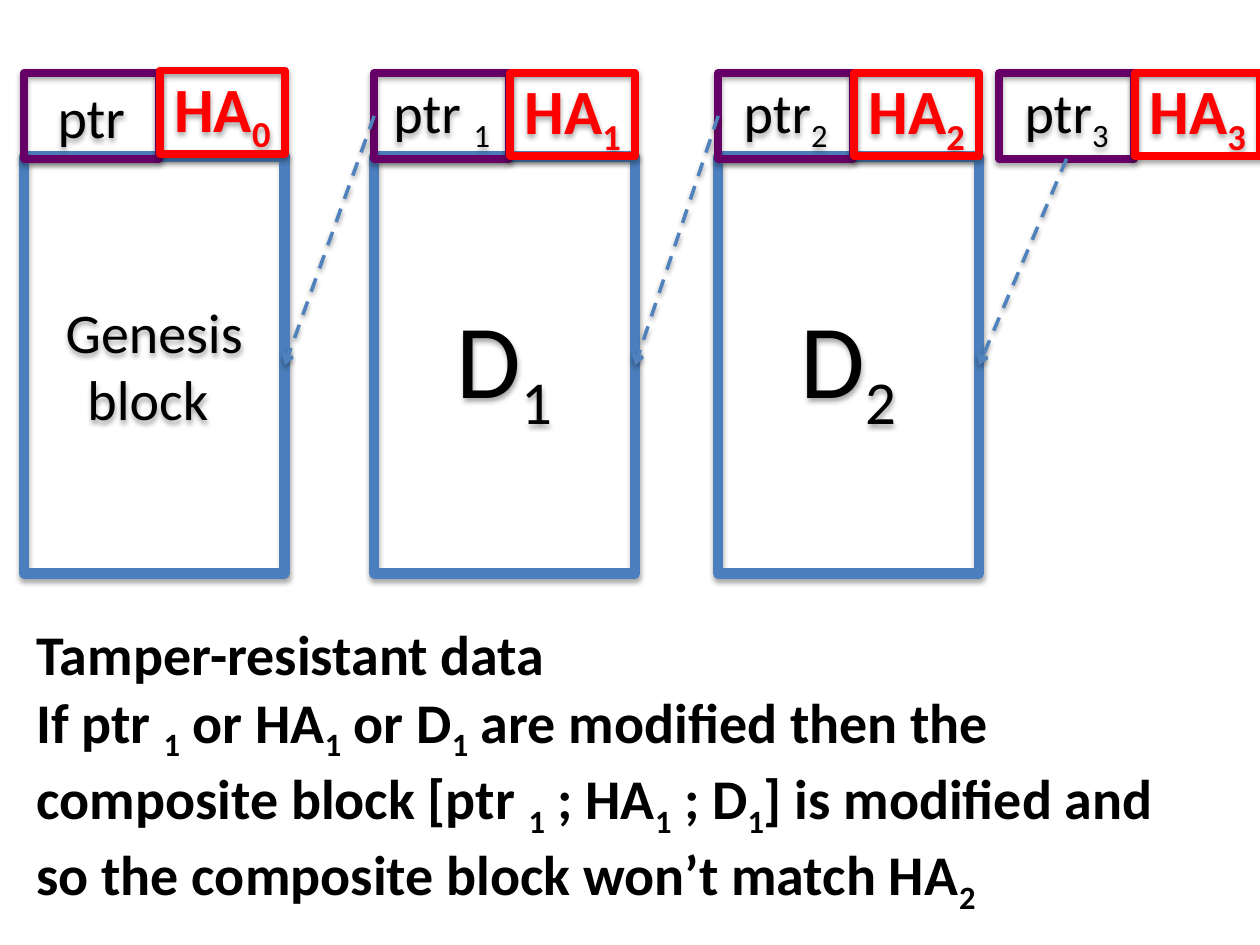
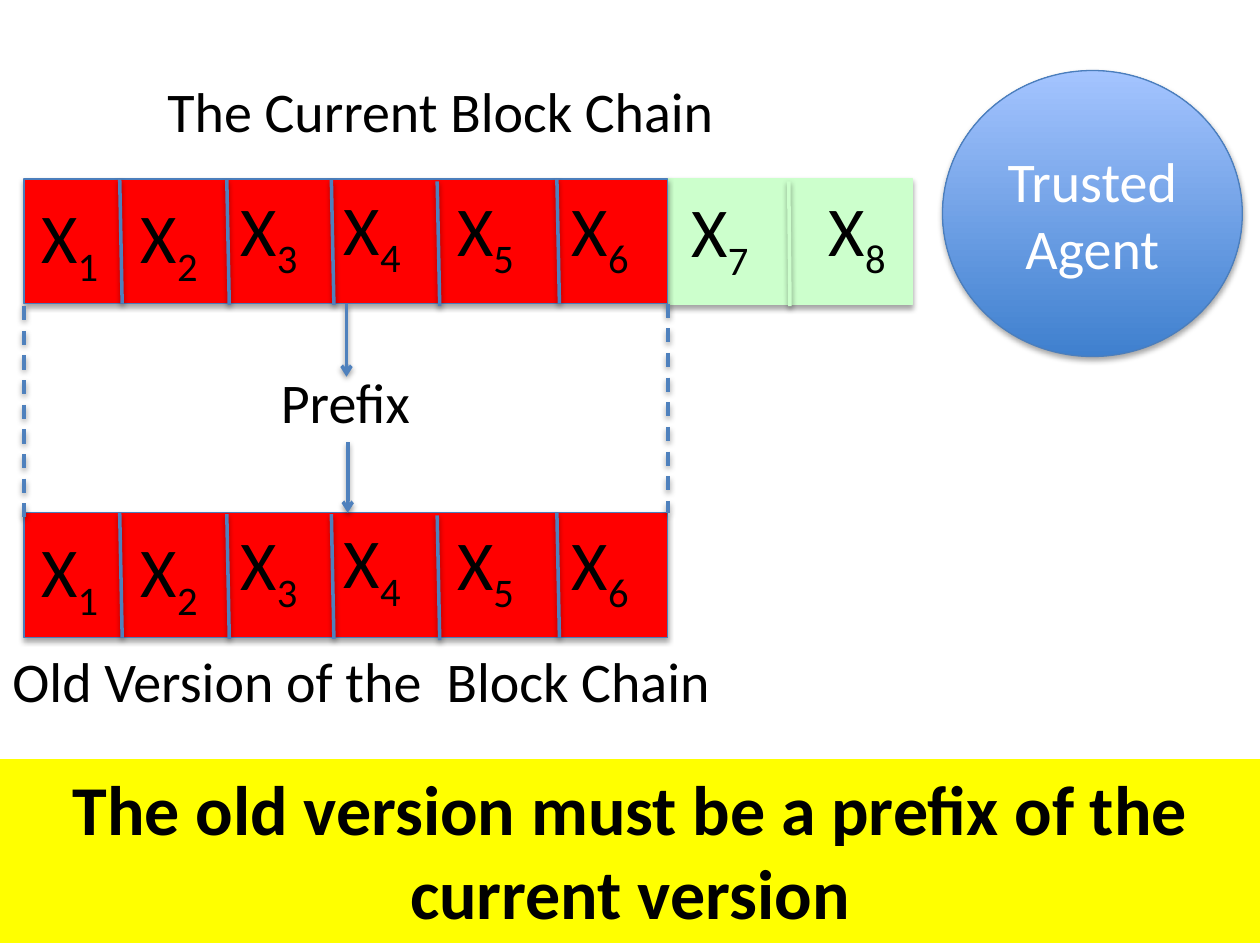
from dataclasses import dataclass

import lxml.etree
import pptx
import pptx.dml.color
import pptx.enum.dml
import pptx.enum.shapes
import pptx.enum.text
import pptx.oxml.ns
import pptx.util

Inches = pptx.util.Inches
Pt = pptx.util.Pt
Shape = pptx.enum.shapes.MSO_SHAPE
Align = pptx.enum.text.PP_ALIGN
Anchor = pptx.enum.text.MSO_ANCHOR
qn = pptx.oxml.ns.qn

FONT = "Calibri"
BLACK, WHITE, RED = "000000", "FFFFFF", "FF0000"
BORDER, LINK, PURPLE = "4B7EBC", "4F81BD", "660066"
GREEN, YELLOW = "CCFFCC", "FFFF00"
BLUE_GRADIENT = ("3F80CE", "A4C4FF")


@dataclass
class Frame:
    left: float
    top: float
    width: float
    height: float


@dataclass
class Block:
    left: float
    pointer: str
    digest: str
    data: str = ""
    data_size: int = 60
    digest_top: float = 0.58


@dataclass
class Cell:
    number: int
    left: float
    drop: float


BLOCKS = [
    Block(0.19, "ptr", "HA~0~", "Genesis block ", 32, 0.56),
    Block(2.97, "ptr ~1~", "HA~1~", "D~1~"),
    Block(5.70, "ptr~2~", "HA~2~", "D~2~"),
    Block(7.93, "ptr~3~", "HA~3~"),
]
CELLS = [Cell(1, 0.23, 0.07), Cell(2, 1.02, 0.07), Cell(3, 1.81, 0.01),
         Cell(4, 2.63, 0), Cell(5, 3.53, 0.01), Cell(6, 4.44, 0.01)]
NEW_CELLS = [Cell(8, 6.48, 0.01), Cell(7, 5.39, 0.02)]
DIVIDERS = [(0.95, 0), (1.80, 0.01), (2.63, 0.01), (3.47, 0.02), (4.42, 0)]

CHAIN_LEFT, CHAIN_RIGHT, CHAIN_HEIGHT = 0.19, 5.30, 0.99
CURRENT_TOP, OLD_TOP = 1.42, 4.07
BLOCK_WIDTH, POINTER_WIDTH = 2.07, 1.07


def colour(value: str) -> pptx.dml.color.RGBColor:
    return pptx.dml.color.RGBColor.from_string(value)


def set_effects(shape, distance: int = 0, opacity: int = 0) -> None:
    properties = shape._element.spPr
    for old in properties.findall(qn("a:effectLst")):
        properties.remove(old)
    effects = lxml.etree.SubElement(properties, qn("a:effectLst"))
    if opacity:
        shadow = lxml.etree.SubElement(
            effects, qn("a:outerShdw"), blurRad="40000", dist=str(distance),
            dir="5400000", rotWithShape="0")
        tint = lxml.etree.SubElement(shadow, qn("a:srgbClr"), val=BLACK)
        lxml.etree.SubElement(tint, qn("a:alpha"), val=str(opacity * 1000))


def write(box, text: str, *, size: float, ink: str = BLACK, bold: bool = False,
          align=Align.LEFT, anchor=Anchor.TOP, wrap: bool = True) -> None:
    frame = box.text_frame
    frame.word_wrap = wrap
    frame.vertical_anchor = anchor
    for index, line in enumerate(text.split("\n")):
        para = frame.paragraphs[0] if index == 0 else frame.add_paragraph()
        para.alignment = align
        for position, part in enumerate(line.split("~")):
            if not part:
                continue
            span = para.add_run()
            span.text = part
            span.font.name = FONT
            span.font.size = Pt(size)
            span.font.bold = bold
            span.font.color.rgb = colour(ink)
            if position % 2:
                span._r.get_or_add_rPr().set("baseline", "-25000")


def add_box(shapes, frame: Frame, *, kind=Shape.RECTANGLE, fill=None,
            line: str = BORDER, weight: float = 0.75, shadow: bool = True):
    box = shapes.add_shape(kind, Inches(frame.left), Inches(frame.top),
                           Inches(frame.width), Inches(frame.height))
    if fill is None:
        box.fill.background()
    elif isinstance(fill, tuple):
        box.fill.gradient()
        box.fill.gradient_angle = 90
        for stop, shade in zip(box.fill.gradient_stops, fill):
            stop.color.rgb = colour(shade)
    else:
        box.fill.solid()
        box.fill.fore_color.rgb = colour(fill)
    box.line.color.rgb = colour(line)
    box.line.width = Pt(weight)
    set_effects(box, 23000, 35 if shadow else 0)
    return box


def add_label(shapes, frame: Frame, text: str, *, size: float = 32,
              bold: bool = False, wrap: bool = False) -> None:
    box = shapes.add_textbox(Inches(frame.left), Inches(frame.top),
                             Inches(frame.width), Inches(frame.height))
    write(box, text, size=size, bold=bold, wrap=wrap)


def add_line(shapes, start: tuple[float, float], end: tuple[float, float], *,
             line: str = LINK, dashed: bool = False, arrow: bool = False) -> None:
    connector = shapes.add_connector(
        pptx.enum.shapes.MSO_CONNECTOR.STRAIGHT,
        Inches(start[0]), Inches(start[1]), Inches(end[0]), Inches(end[1]))
    connector.line.color.rgb = colour(line)
    connector.line.width = Pt(2)
    if dashed:
        connector.line.dash_style = pptx.enum.dml.MSO_LINE.DASH
    if arrow:
        outline = connector.line._get_or_add_ln()
        lxml.etree.SubElement(outline, qn("a:tailEnd"), type="arrow")
    set_effects(connector, 20000, 38)


def add_block(shapes, block: Block) -> None:
    centred = {"align": Align.CENTER, "anchor": Anchor.MIDDLE}
    if block.data:
        body = add_box(shapes, Frame(block.left, 1.24, BLOCK_WIDTH, 3.31), weight=6)
        write(body, block.data, size=block.data_size, **centred)
    pointer = add_box(shapes, Frame(block.left, 0.58, POINTER_WIDTH, 0.68),
                      line=PURPLE, weight=4.5)
    write(pointer, block.pointer, size=32, **centred)
    digest = add_box(
        shapes, Frame(block.left + POINTER_WIDTH + 0.01, block.digest_top, 0.99, 0.66),
        line=RED, weight=4.5)
    write(digest, block.digest, size=36, ink=RED, bold=True, **centred)


def add_chain(page, top: float) -> None:
    shapes = page.shapes.add_group_shape().shapes
    add_box(shapes, Frame(CHAIN_LEFT, top, CHAIN_RIGHT - CHAIN_LEFT, CHAIN_HEIGHT),
            fill=RED)
    for left, drop in DIVIDERS:
        add_line(shapes, (left, top + drop), (left + 0.02, top + drop + CHAIN_HEIGHT))
    for cell in CELLS:
        add_label(shapes, Frame(cell.left, top + cell.drop, 0.68, 0.77),
                  f"X~{cell.number}~", size=40)


def build_tamper_page(page) -> None:
    shapes = page.shapes
    add_label(shapes, Frame(0.19, 4.87, 9.51, 2.26),
              "Tamper-resistant data\n"
              "If ptr ~1~ or HA~1~ or D~1~ are modified then the composite block "
              "[ptr ~1~ ; HA~1~ ; D~1~] is modified and so the composite block "
              "won’t match HA~2~", bold=True, wrap=True)
    for block in BLOCKS:
        add_block(shapes, block)
    for target, source in zip(BLOCKS, BLOCKS[1:]):
        start = ((source.left, 0.92) if source.data
                 else (source.left + POINTER_WIDTH / 2, 1.26))
        add_line(shapes, start, (target.left + BLOCK_WIDTH, 2.9),
                 dashed=True, arrow=True)


def build_prefix_page(page) -> None:
    shapes = page.shapes
    add_box(shapes, Frame(CHAIN_RIGHT, CURRENT_TOP, 1.94, 1), fill=GREEN, line=GREEN)
    add_line(shapes, (6.26, 1.44), (6.27, 2.43), line=GREEN)
    for cell in NEW_CELLS:
        box = add_box(shapes, Frame(cell.left, CURRENT_TOP + cell.drop, 0.68, 0.77),
                      fill=GREEN, line=GREEN, shadow=False)
        write(box, f"X~{cell.number}~", size=40, wrap=False)
    add_chain(page, CURRENT_TOP)
    agent = add_box(shapes, Frame(7.48, 0.56, 2.38, 2.27), kind=Shape.OVAL,
                    fill=BLUE_GRADIENT)
    write(agent, "Trusted Agent", size=32, ink=WHITE,
          align=Align.CENTER, anchor=Anchor.MIDDLE)
    add_label(shapes, Frame(1.23, 0.56, 4.59, 0.64), "The Current Block Chain")
    add_chain(page, OLD_TOP)
    add_label(shapes, Frame(0, 5.08, 5.82, 0.64), "Old Version of the  Block Chain")
    add_line(shapes, (CHAIN_LEFT, 2.43), (CHAIN_LEFT, 4.1), dashed=True)
    add_line(shapes, (CHAIN_RIGHT, 2.41), (CHAIN_RIGHT, OLD_TOP), dashed=True)
    add_label(shapes, Frame(2.13, 2.87, 1.25, 0.64), "Prefix")
    add_line(shapes, (2.75, 2.41), (2.75, 2.99), arrow=True)
    add_line(shapes, (2.76, 3.51), (2.76, OLD_TOP), arrow=True)
    banner = add_box(shapes, Frame(0, 6.03, 10, 1.45), fill=YELLOW, line=YELLOW,
                     shadow=False)
    write(banner, "The old version must be a prefix of the current version",
          size=40, bold=True, align=Align.CENTER)


deck = pptx.Presentation()
deck.slide_width = Inches(10)
deck.slide_height = Inches(7.5)
for build in (build_tamper_page, build_prefix_page):
    build(deck.slides.add_slide(deck.slide_layouts[6]))
deck.save("out.pptx")
